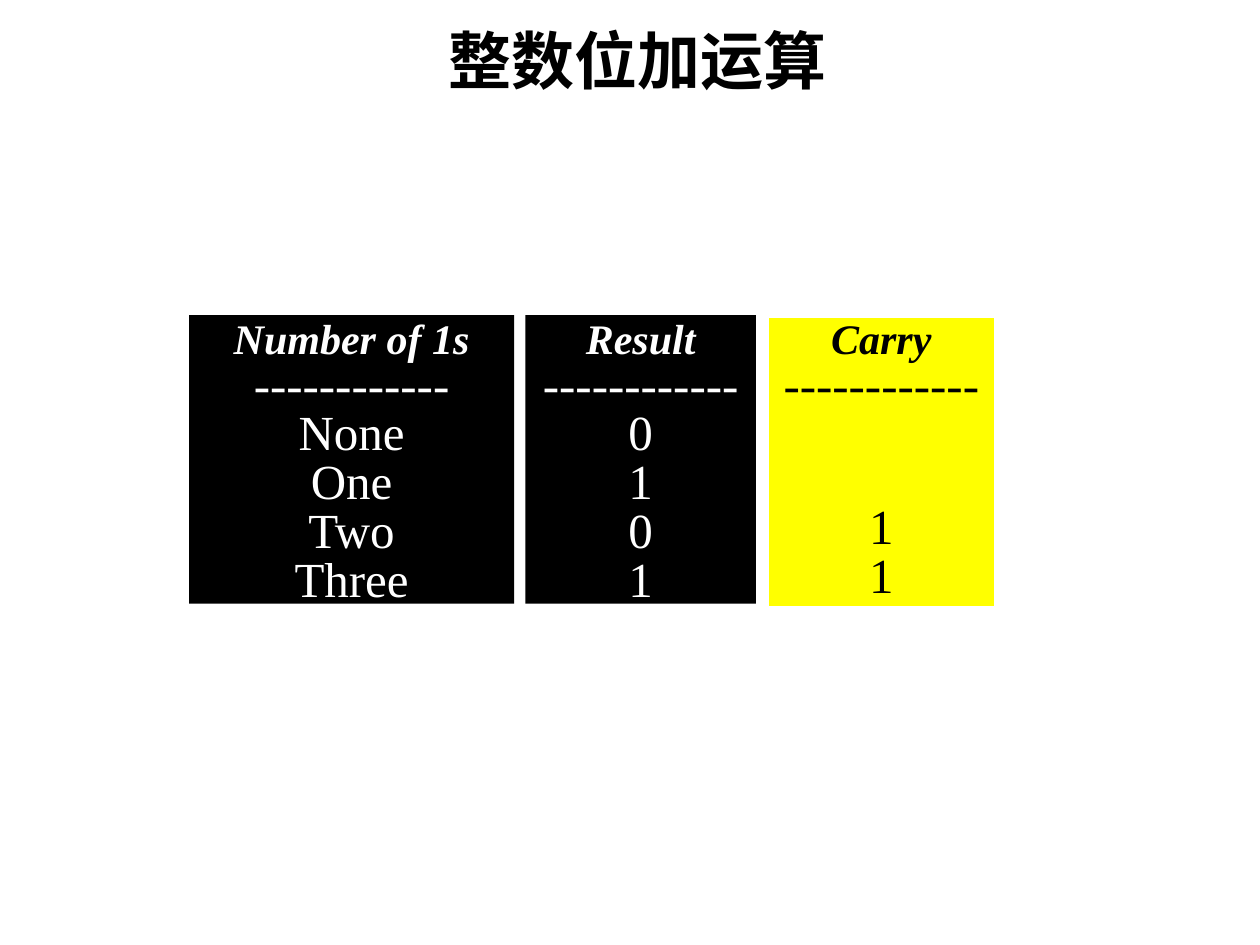
from lxml import etree
from pptx import Presentation
from pptx.dml.color import RGBColor
from pptx.enum import shapes, text
from pptx.oxml.ns import qn
from pptx.util import Inches, Pt

TITLE = "整数位加运算"
RULE = "-" * 12
COLORS = {"black": "000000", "white": "FFFFFF", "yellow": "FFFF00"}
COLUMNS = [
    {"head": "Number of 1s", "values": ["None", "One", "Two", "Three"], "skip": 0,
     "left": 1.5, "width": 2.58, "height": 2.29, "fill": "black", "ink": "white", "line": None},
    {"head": "Result", "values": ["0", "1", "0", "1"], "skip": 0,
     "left": 4.17, "width": 1.83, "height": 2.29, "fill": "black", "ink": "white", "line": None},
    {"head": "Carry", "values": ["1", "1"], "skip": 2,
     "left": 6.08, "width": 1.83, "height": 2.33, "fill": "yellow", "ink": "black", "line": "white"},
]
TOP = 2.5
LINE_SPACING = 0.83
ROW_HEIGHT = 26.8


def rgb(name):
    return RGBColor.from_string(COLORS[name])


def add_run(p, words, size, color, bold=False, italic=False, font="Times New Roman"):
    r = p.add_run()
    r.text = words
    r.font.name = font
    r.font.size = Pt(size)
    r.font.bold = bold
    r.font.italic = italic
    r.font.color.rgb = rgb(color)
    return r


def format_paragraph(p, spacing):
    p.alignment = text.PP_ALIGN.CENTER
    p.line_spacing = spacing


def add_title(s):
    sp = s.shapes.title
    sp.left, sp.top, sp.width, sp.height = map(Inches, (2.82, 0.19, 4.48, 0.64))
    tf = sp.text_frame
    tf.auto_size = text.MSO_AUTO_SIZE.NONE
    tf.vertical_anchor = text.MSO_ANCHOR.MIDDLE
    p = tf.paragraphs[0]
    format_paragraph(p, 0.9)
    font = "Noto Sans CJK SC"
    r = add_run(p, TITLE, 36, "black", bold=True, font=font)
    etree.SubElement(r.font._element, qn("a:ea")).set("typeface", font)


def add_column(s, col):
    box = map(Inches, (col["left"], TOP, col["width"], col["height"]))
    sp = s.shapes.add_shape(shapes.MSO_SHAPE.RECTANGLE, *box)
    sp.shadow.inherit = False
    sp.fill.solid()
    sp.fill.fore_color.rgb = rgb(col["fill"])
    if col["line"]:
        sp.line.color.rgb = rgb(col["line"])
        sp.line.width = Pt(3)
    else:
        sp.line.fill.background()
    tf = sp.text_frame
    tf.word_wrap = True
    tf.vertical_anchor = text.MSO_ANCHOR.TOP
    p = tf.paragraphs[0]
    format_paragraph(p, LINE_SPACING)
    add_run(p, col["head"], 24, col["ink"], bold=True, italic=True)
    p.add_line_break()
    add_run(p, RULE, 28, col["ink"])
    for i, value in enumerate(col["values"]):
        p = tf.add_paragraph()
        format_paragraph(p, LINE_SPACING)
        if i == 0:
            p.space_before = Pt(col["skip"] * ROW_HEIGHT)
        add_run(p, value, 28, col["ink"])


prs = Presentation()
prs.slide_width, prs.slide_height = Inches(10), Inches(7.5)
s = prs.slides.add_slide(prs.slide_layouts[5])
add_title(s)
for col in COLUMNS:
    add_column(s, col)
prs.save("out.pptx")
